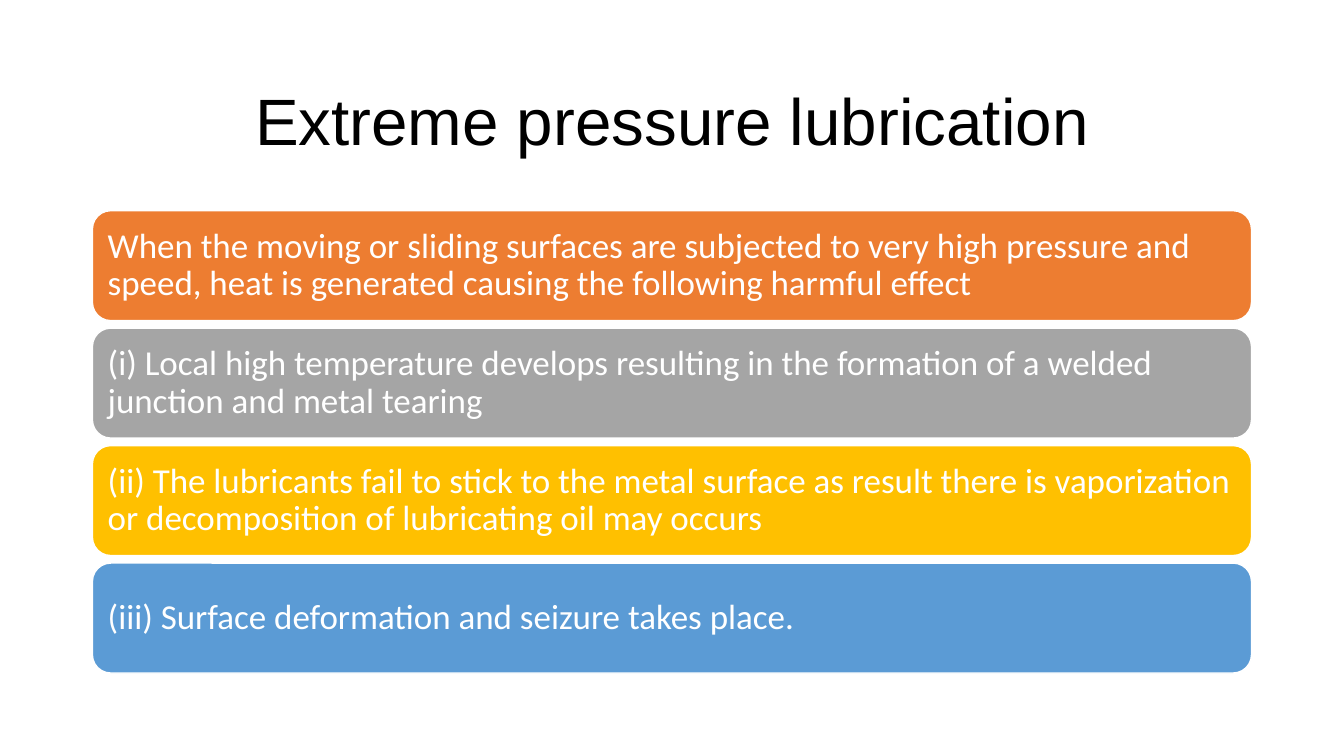
"""Build the slide on extreme pressure lubrication."""
from pptx import Presentation
from pptx.dml.color import RGBColor
from pptx.enum.shapes import MSO_SHAPE
from pptx.enum.text import MSO_ANCHOR, PP_ALIGN
from pptx.util import Cm, Pt

TITLE = "Extreme pressure lubrication"
BARS = [
    ("When the moving or sliding surfaces are subjected to very high pressure and "
     "speed, heat is generated causing the following harmful effect", "ED7D31"),
    ("(i) Local high temperature develops resulting in the formation of a welded "
     "junction and metal tearing", "A5A5A5"),
    ("(ii) The lubricants fail to stick to the metal surface as result there is "
     "vaporization or decomposition of lubricating oil may occurs", "FFC000"),
    ("(iii) Surface deformation and seizure takes place.", "5B9BD5"),
]
LEFT, WIDTH = 2.33, 29.21
TITLE_TOP, TITLE_HEIGHT = 1.55, 3.15
BARS_TOP, BAR_HEIGHT, BAR_PITCH = 5.31, 2.77, 2.96
INSET = 0.25


def rgb(hex_color):
    return RGBColor.from_string(hex_color)


def write(sp, text, font, size, color, align):
    tf = sp.text_frame
    tf.word_wrap = True
    tf.vertical_anchor = MSO_ANCHOR.MIDDLE
    tf.margin_left = tf.margin_right = tf.margin_top = tf.margin_bottom = Cm(INSET)
    p = tf.paragraphs[0]
    p.text = text
    p.alignment = align
    p.line_spacing = 0.9
    p.font.name = font
    p.font.size = Pt(size)
    p.font.color.rgb = rgb(color)


def add_bar(slide, top, text, fill):
    sp = slide.shapes.add_shape(MSO_SHAPE.ROUNDED_RECTANGLE,
                                Cm(LEFT), Cm(top), Cm(WIDTH), Cm(BAR_HEIGHT))
    sp.shadow.inherit = False
    sp.fill.solid()
    sp.fill.fore_color.rgb = rgb(fill)
    sp.line.color.rgb = rgb("FFFFFF")
    sp.line.width = Pt(1)
    write(sp, text, "Calibri", 25, "FFFFFF", PP_ALIGN.LEFT)


def main():
    prs = Presentation()
    prs.slide_width, prs.slide_height = Cm(33.87), Cm(19.05)
    slide = prs.slides.add_slide(prs.slide_layouts[6])
    title = slide.shapes.add_textbox(Cm(LEFT), Cm(TITLE_TOP), Cm(WIDTH), Cm(TITLE_HEIGHT))
    write(title, TITLE, "Arial", 46.8, "000000", PP_ALIGN.CENTER)
    for i, (text, fill) in enumerate(BARS):
        add_bar(slide, BARS_TOP + i * BAR_PITCH, text, fill)
    prs.save("out.pptx")


if __name__ == "__main__":
    main()
